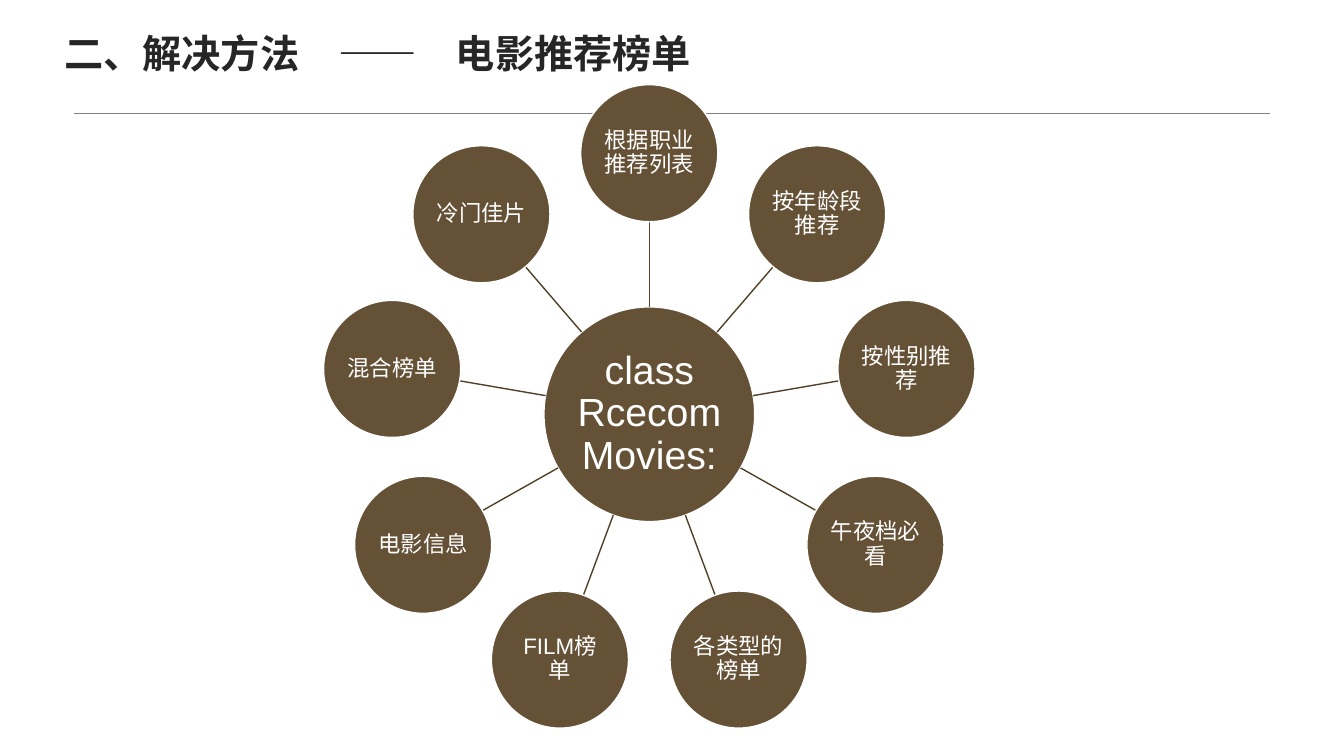
import math
from dataclasses import dataclass

from lxml import etree
from pptx import Presentation
from pptx import util as u
from pptx.dml.color import RGBColor
from pptx.enum import shapes, text
from pptx.oxml import ns

BROWN = RGBColor(0x65, 0x51, 0x36)
DARK_BROWN = RGBColor(0x51, 0x41, 0x2B)
WHITE = RGBColor(0xFF, 0xFF, 0xFF)
GRAY = RGBColor(0x80, 0x80, 0x80)
INK = RGBColor(0x26, 0x26, 0x26)

CENTER_X, CENTER_Y = 6.44, 4.11
ORBIT = 2.59
NODE_SIZE = 1.36
TOPICS = [
    "根据职业推荐列表", "按年龄段推荐", "按性别推荐", "午夜档必看", "各类型的榜单",
    "FILM榜单", "电影信息", "混合榜单", "冷门佳片",
]


@dataclass(frozen=True)
class Bubble:
    label: str
    x: float
    y: float
    width: float
    height: float
    size: float
    inset: float


def write(frame, content: str, *, size: float, color: RGBColor, bold: bool = False,
          align=text.PP_ALIGN.LEFT, anchor=text.MSO_ANCHOR.MIDDLE) -> None:
    frame.word_wrap = True
    frame.vertical_anchor = anchor
    paragraph = frame.paragraphs[0]
    paragraph.alignment = align
    paragraph.line_spacing = 0.9
    run = paragraph.add_run()
    run.text = content
    run.font.name = "Arial"
    run.font.size = u.Pt(size)
    run.font.bold = bold
    run.font.color.rgb = color


def draw_line(slide, start: tuple[float, float], end: tuple[float, float],
              color: RGBColor, weight: float) -> None:
    line = slide.shapes.add_connector(
        shapes.MSO_CONNECTOR.STRAIGHT, *map(u.Inches, (*start, *end)))
    line.line.color.rgb = color
    line.line.width = u.Pt(weight)
    etree.SubElement(line._element.spPr, ns.qn("a:effectLst"))


def draw_bubble(slide, bubble: Bubble) -> None:
    circle = slide.shapes.add_shape(
        shapes.MSO_SHAPE.OVAL,
        u.Inches(bubble.x - bubble.width / 2), u.Inches(bubble.y - bubble.height / 2),
        u.Inches(bubble.width), u.Inches(bubble.height))
    circle.shadow.inherit = False
    circle.fill.solid()
    circle.fill.fore_color.rgb = BROWN
    circle.line.color.rgb = WHITE
    circle.line.width = u.Pt(1)
    frame = circle.text_frame
    frame.margin_left = frame.margin_right = u.Inches(bubble.inset)
    frame.margin_top = frame.margin_bottom = u.Inches(bubble.inset)
    write(frame, bubble.label, size=bubble.size, color=WHITE, align=text.PP_ALIGN.CENTER)


def draw_spoke(slide, hub: Bubble, angle: float) -> None:
    """Join the hub's rim to the near rim of the node at the given angle."""
    dx, dy = math.cos(angle), math.sin(angle)
    reach = ORBIT - NODE_SIZE / 2
    draw_line(slide,
              (hub.x + hub.width / 2 * dx, hub.y + hub.height / 2 * dy),
              (hub.x + reach * dx, hub.y + reach * dy), DARK_BROWN, 1)


def main() -> None:
    deck = Presentation()
    deck.slide_width, deck.slide_height = u.Inches(13.33), u.Inches(7.5)
    slide = deck.slides.add_slide(deck.slide_layouts[6])

    draw_line(slide, (0.73, 1.12), (12.6, 1.12), GRAY, 0.25)

    hub = Bubble("class RcecomMovies:", CENTER_X, CENTER_Y, 2.09, 2.13, 28, 0.02)
    draw_bubble(slide, hub)
    for index, topic in enumerate(TOPICS):
        angle = math.radians(index * 360 / len(TOPICS) - 90)
        draw_spoke(slide, hub, angle)
        draw_bubble(slide, Bubble(
            topic, CENTER_X + ORBIT * math.cos(angle), CENTER_Y + ORBIT * math.sin(angle),
            NODE_SIZE, NODE_SIZE, 16, 0.01))

    title = slide.shapes.add_textbox(
        u.Inches(0.54), u.Inches(0.11), u.Inches(12.06), u.Inches(0.7))
    write(title.text_frame, "二、解决方法　——　电影推荐榜单", size=28, color=INK,
          bold=True, anchor=text.MSO_ANCHOR.BOTTOM)

    deck.save("out.pptx")


if __name__ == "__main__":
    main()
